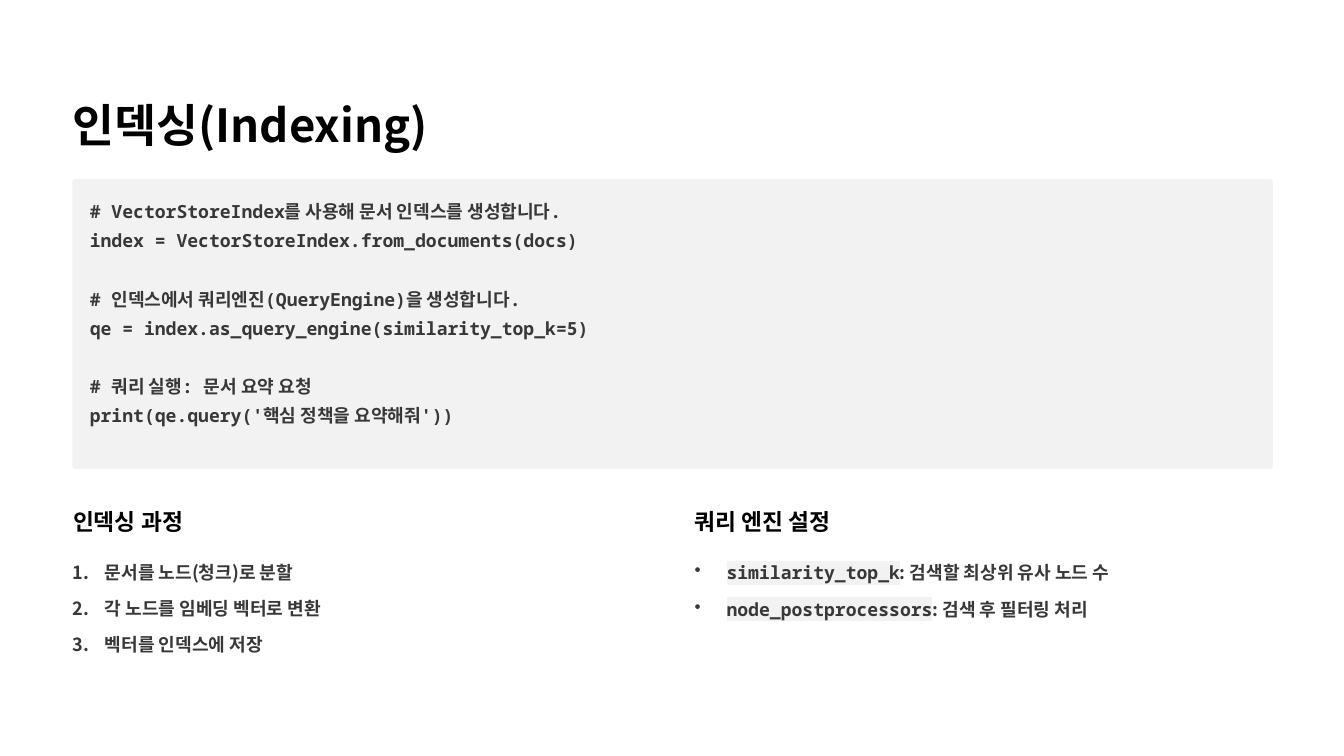
from lxml import etree
from pptx import Presentation
from pptx.dml.color import RGBColor
from pptx.enum.shapes import MSO_SHAPE
from pptx.oxml.ns import qn
from pptx.util import Pt

ROUNDED = MSO_SHAPE.ROUNDED_RECTANGLE
SANS = "Noto Sans CJK KR"
MONO = "Noto Sans Mono"
COLORS = {"heading": "000000", "body": "383838", "code_bg": "F2F2F2"}

BODY_SIZE, BODY_LINE = 15.5, 25
LIST_TOP, LIST_INDENT, LIST_WIDTH = 475.2, 27.4, 494.6
LEFT_COLUMN, RIGHT_COLUMN = 62.6, 595.4

CODE_BLOCKS = [
    ["# VectorStoreIndex를 사용해 문서 인덱스를 생성합니다.",
     "index = VectorStoreIndex.from_documents(docs)"],
    ["# 인덱스에서 쿼리엔진(QueryEngine)을 생성합니다.",
     "qe = index.as_query_engine(similarity_top_k=5)"],
    ["# 쿼리 실행: 문서 요약 요청",
     "print(qe.query('핵심 정책을 요약해줘'))"],
]
INDEXING_STEPS = [
    "문서를 노드(청크)로 분할",
    "각 노드를 임베딩 벡터로 변환",
    "벡터를 인덱스에 저장",
]
ENGINE_SETTINGS = [
    ("similarity_top_k", ": 검색할 최상위 유사 노드 수"),
    ("node_postprocessors", ": 검색 후 필터링 처리"),
]


def add_frame(slide, left, top, width, height, wrap=False):
    """Add a text box without margins and return its text frame."""
    frame = slide.shapes.add_textbox(Pt(left), Pt(top), Pt(width), Pt(height)).text_frame
    frame.margin_left = frame.margin_right = frame.margin_top = frame.margin_bottom = 0
    frame.word_wrap = wrap
    return frame


def add_run(paragraph, text, size=BODY_SIZE, color="body", code=False):
    """Add a bold run; code is monospaced on a highlight."""
    run = paragraph.add_run()
    run.text = text
    font = run.font
    font.size, font.bold = Pt(size), True
    font.color.rgb = RGBColor.from_string(COLORS[color])
    font.name = MONO if code else SANS
    properties = run._r.get_or_add_rPr()
    latin = properties.find(qn("a:latin"))
    east_asian = etree.Element(qn("a:ea"), typeface=SANS)
    latin.addnext(east_asian)
    if code:
        highlight = etree.Element(qn("a:highlight"))
        etree.SubElement(highlight, qn("a:srgbClr"), val=COLORS["code_bg"])
        latin.addprevious(highlight)


def add_heading(slide, text, left, top, width, height, size, line):
    paragraph = add_frame(slide, left, top, width, height).paragraphs[0]
    paragraph.line_spacing = Pt(line)
    add_run(paragraph, text, size, "heading")


def add_code_panel(slide):
    panel = slide.shapes.add_shape(ROUNDED, Pt(62), Pt(153.4), Pt(1029), Pt(248.4))
    panel.adjustments[0] = 0.01
    panel.shadow.inherit = False
    panel.fill.solid()
    panel.fill.fore_color.rgb = RGBColor.from_string(COLORS["code_bg"])
    panel.line.fill.background()

    frame = add_frame(slide, 77, 165.6, 997.2, 225.4, wrap=True)
    for block_index, block in enumerate(CODE_BLOCKS):
        for line_index, code_line in enumerate(block):
            first = block_index == line_index == 0
            paragraph = frame.paragraphs[0] if first else frame.add_paragraph()
            paragraph.line_spacing = Pt(BODY_LINE)
            if block_index and line_index == 0:
                paragraph.space_before = Pt(BODY_LINE)
            add_run(paragraph, code_line, code=True)


def add_list_item(slide, left, top, number=None):
    """Add an item, numbered or with a dot, and return its paragraph."""
    paragraph = add_frame(slide, left, top, LIST_WIDTH, BODY_LINE).paragraphs[0]
    paragraph.line_spacing = Pt(BODY_LINE)
    properties = paragraph._p.get_or_add_pPr()
    properties.set("marL", str(Pt(LIST_INDENT)))
    properties.set("indent", str(-Pt(LIST_INDENT)))
    if number:
        etree.SubElement(properties, qn("a:buAutoNum"), type="arabicPeriod", startAt=str(number))
    else:
        etree.SubElement(properties, qn("a:buChar"), char="•")
    return paragraph


def main():
    presentation = Presentation()
    presentation.slide_width, presentation.slide_height = Pt(1152), Pt(648)
    slide = presentation.slides.add_slide(presentation.slide_layouts[6])

    add_heading(slide, "인덱싱(Indexing)", LEFT_COLUMN, 81.4, 391, 49, 39, 48.5)
    add_code_panel(slide)
    for left, text in ((LEFT_COLUMN, "인덱싱 과정"), (RIGHT_COLUMN, "쿼리 엔진 설정")):
        add_heading(slide, text, left, 434.9, 195, 24.5, 19.5, 24)

    for index, step in enumerate(INDEXING_STEPS):
        item = add_list_item(slide, LEFT_COLUMN, LIST_TOP + 30.6 * index, index + 1)
        add_run(item, step)
    for index, (setting, meaning) in enumerate(ENGINE_SETTINGS):
        item = add_list_item(slide, RIGHT_COLUMN, LIST_TOP + 31 * index)
        add_run(item, setting, code=True)
        add_run(item, meaning)

    presentation.save("out.pptx")


if __name__ == "__main__":
    main()
